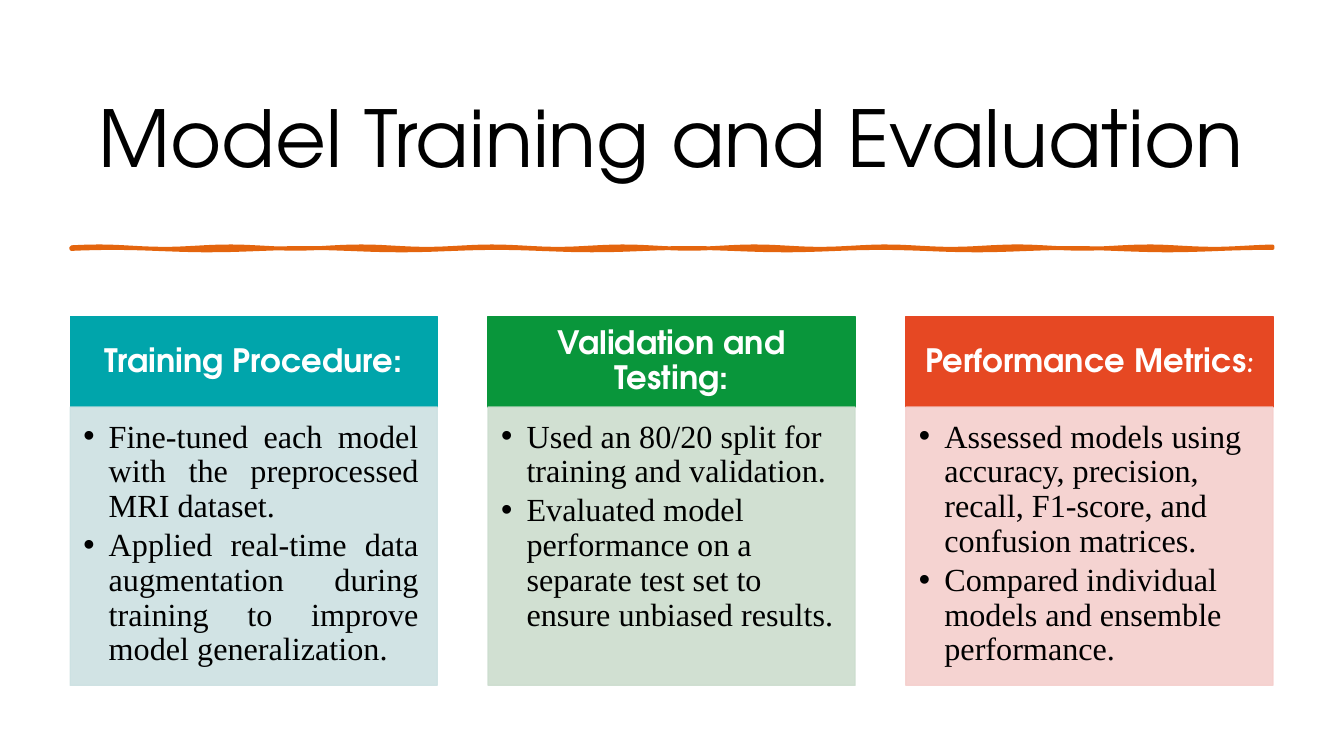
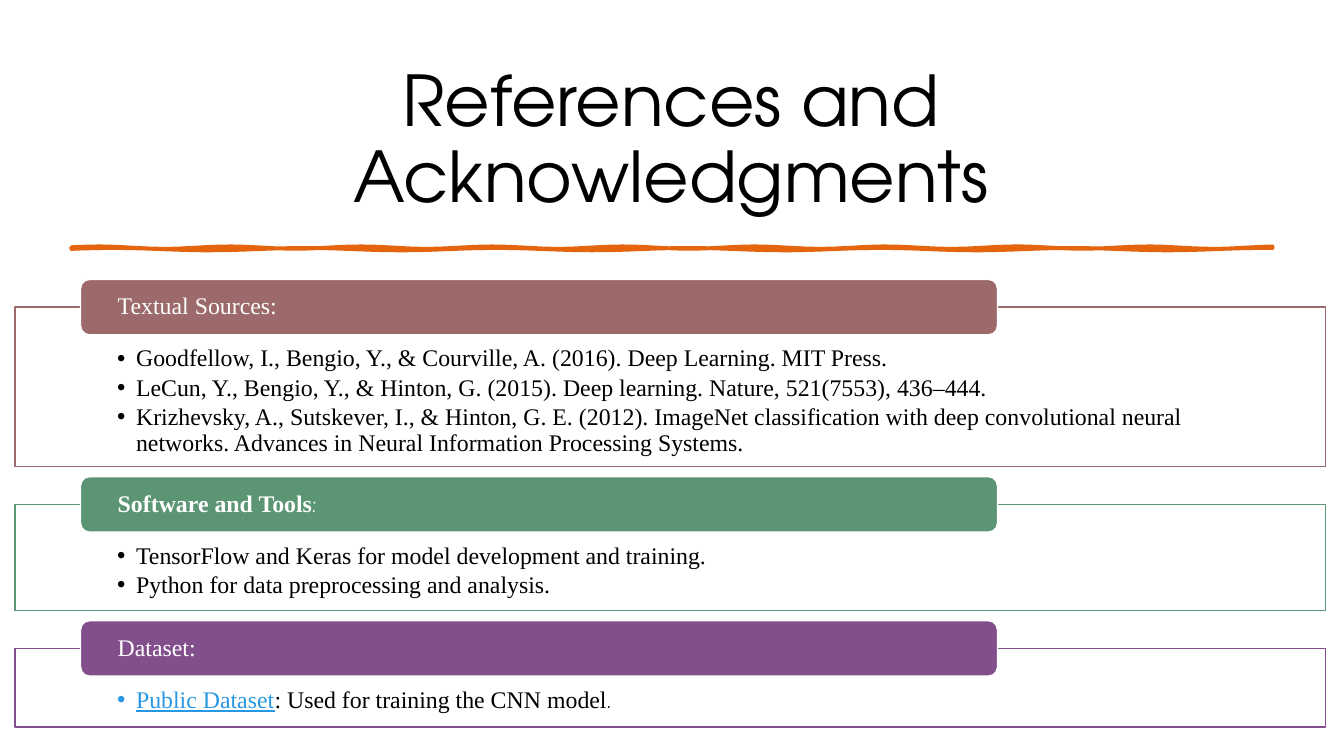
from math import sin
from lxml.etree import SubElement
from pptx import Presentation
from pptx.dml.color import RGBColor
from pptx.enum.shapes import MSO_SHAPE
from pptx.enum.text import MSO_ANCHOR, MSO_AUTO_SIZE, PP_ALIGN
from pptx.oxml.ns import qn
from pptx.util import Cm, Pt

HEADING_FONT = "TeX Gyre Adventor"
BODY_FONT = "Times New Roman"
ACCENT_FONT = "Comic Neue"
BLACK, WHITE, ORANGE, LINK_BLUE = "000000", "FFFFFF", "E4650E", "2998E3"


def color(value):
    return RGBColor.from_string(value)


class Slides:
    """Holds the shared style and the current page."""

    def __init__(self):
        self.deck = Presentation()
        self.deck.slide_width, self.deck.slide_height = Cm(33.87), Cm(19.05)
        self.page = None

    def new_page(self, title, size):
        self.page = self.deck.slides.add_slide(self.deck.slide_layouts[5])
        box = self.page.shapes.title
        box.left, box.top, box.width, box.height = Cm(1.75), Cm(1.75), Cm(30.33), Cm(3.66)
        self.fill_text(box, [title], size, HEADING_FONT, BLACK, insets=(0.3, 0.13, 0.3, 0.13),
                       anchor=MSO_ANCHOR.MIDDLE, align=PP_ALIGN.CENTER)
        self.wavy_rule()

    def paint(self, shape, fill, line, width=1, alpha=None):
        shape.shadow.inherit = False
        shape.fill.solid()
        shape.fill.fore_color.rgb = color(fill)
        shape.line.color.rgb = color(line)
        shape.line.width = Pt(width)
        if alpha:
            for node in shape._element.spPr.iter(qn("a:srgbClr")):
                SubElement(node, qn("a:alpha"), val=str(alpha * 1000))

    def wavy_rule(self):
        """Hand-drawn rule: two uneven edges that nearly touch."""
        left, width, steps = 1.8, 30.27, 120
        across = [left + width * step / steps for step in range(steps + 1)]
        upper = [(Cm(x), Cm(6.24 + 0.03 * sin(1.9 * x))) for x in across]
        lower = [(Cm(x), Cm(6.28 + 0.03 * sin(1.3 * x + 1))) for x in across]
        builder = self.page.shapes.build_freeform(*upper[0])
        builder.add_line_segments(upper[1:] + lower[::-1], close=True)
        self.paint(builder.convert_to_shape(), ORANGE, ORANGE, 2.75)

    def block(self, kind, left, top, width, height, fill, line, alpha=None):
        shape = self.page.shapes.add_shape(kind, Cm(left), Cm(top), Cm(width), Cm(height))
        self.paint(shape, fill, line, alpha=alpha)
        return shape

    def fill_text(self, box, items, size, font, ink, insets, anchor=MSO_ANCHOR.TOP,
                  align=PP_ALIGN.LEFT, bold=False, indent=None, after=0):
        """Each item is a string or a list of (text, changes) spans."""
        frame = box.text_frame
        frame.word_wrap, frame.auto_size = True, MSO_AUTO_SIZE.NONE
        frame.vertical_anchor = anchor
        (frame.margin_left, frame.margin_top,
         frame.margin_right, frame.margin_bottom) = map(Cm, insets)
        for index, item in enumerate(items):
            para = frame.paragraphs[0] if index == 0 else frame.add_paragraph()
            para.alignment, para.line_spacing = align, 0.9
            para.space_before, para.space_after = Pt(0), Pt(after)
            if indent:
                properties = para._p.get_or_add_pPr()
                properties.set("marL", str(Cm(indent)))
                properties.set("indent", str(-Cm(indent)))
                SubElement(properties, qn("a:buFont"), typeface="Arial")
                SubElement(properties, qn("a:buChar"), char="•")
            para.font.name, para.font.size = font, Pt(size)
            para.font.bold, para.font.color.rgb = bold, color(ink)
            for text, changes in [(item, {})] if isinstance(item, str) else item:
                self.add_span(para, text, **changes)

    def add_span(self, para, text, name=None, bold=None, underline=None, ink=None):
        span = para.add_run()
        span.text = text
        if name:
            span.font.name = name
        if bold:
            span.font.bold = bold
        if underline:
            span.font.underline = underline
        if ink:
            span.font.color.rgb = color(ink)

    def card(self, left, heading, points, dark, light, align):
        top, width, header_height = 7.97, 9.25, 2.29
        header = self.block(MSO_SHAPE.RECTANGLE, left, top, width, header_height, dark, dark)
        self.fill_text(header, [heading], 23, HEADING_FONT, WHITE, (0.46, 0.25, 0.46, 0.25),
                       MSO_ANCHOR.MIDDLE, PP_ALIGN.CENTER, bold=True)
        body = self.block(MSO_SHAPE.RECTANGLE, left, top + header_height, width, 7.01,
                          light, light, alpha=90)
        self.fill_text(body, points, 23, BODY_FONT, BLACK, (0.33, 0.33, 0.46, 0.51),
                       align=align, indent=0.64, after=3)

    def section(self, top, height, heading, points, tone):
        frame = self.block(MSO_SHAPE.RECTANGLE, 0.38, top, 33.02, height, WHITE, tone)
        self.fill_text(frame, points, 17, BODY_FONT, BLACK, (2.57, 0.99, 2.57, 0.33),
                       indent=0.48, after=2.5)
        band = self.block(MSO_SHAPE.ROUNDED_RECTANGLE, 2.03, top - 0.7, 23.11, 1.4, tone, WHITE)
        self.fill_text(band, [heading], 17, BODY_FONT, WHITE, (0.87, 0, 0.87, 0),
                       MSO_ANCHOR.MIDDLE)


def main():
    slides = Slides()

    # Training and evaluation: three cards
    slides.new_page("Model Training and Evaluation", 56)
    cards = [
        ("Training Procedure:",
         ["Fine-tuned each model with the preprocessed MRI dataset.",
          "Applied real-time data augmentation during training to improve model generalization."],
         "00A5AB", "CCE1E2", PP_ALIGN.JUSTIFY),
        ("Validation and Testing:",
         ["Used an 80/20 split for training and validation.",
          "Evaluated model performance on a separate test set to ensure unbiased results."],
         "09963B", "CCDDCE", PP_ALIGN.LEFT),
        ([("Performance Metrics", {}), (":", {"name": ACCENT_FONT})],
         ["Assessed models using accuracy, precision, recall, F1-score, and confusion matrices.",
          "Compared individual models and ensemble performance."],
         "E64823", "F5CFCD", PP_ALIGN.LEFT),
    ]
    for column, content in enumerate(cards):
        slides.card(1.77 + 10.53 * column, *content)

    # References: stacked sections with an equal gap
    slides.new_page("References and Acknowledgments", 50)
    sections = [
        (4.01, "Textual Sources:",
         ["Goodfellow, I., Bengio, Y., & Courville, A. (2016). Deep Learning. MIT Press.",
          "LeCun, Y., Bengio, Y., & Hinton, G. (2015). Deep learning. Nature, 521(7553), 436–444.",
          "Krizhevsky, A., Sutskever, I., & Hinton, G. E. (2012). ImageNet classification with deep "
          "convolutional neural networks. Advances in Neural Information Processing Systems."],
         "9C6A6A"),
        (2.67, [("Software and Tools", {"bold": True}), (":", {"name": ACCENT_FONT})],
         ["TensorFlow and Keras for model development and training.",
          "Python for data preprocessing and analysis."],
         "5B9574"),
        (1.98, "Dataset:",
         [[("Public Dataset", {"ink": LINK_BLUE, "underline": True}),
           (": Used for training the CNN model", {}),
           (".", {"name": ACCENT_FONT})]],
         "824F8C"),
    ]
    top = 7.74
    for height, *content in sections:
        slides.section(top, height, *content)
        top += height + 0.96

    slides.deck.save("out.pptx")


if __name__ == "__main__":
    main()
